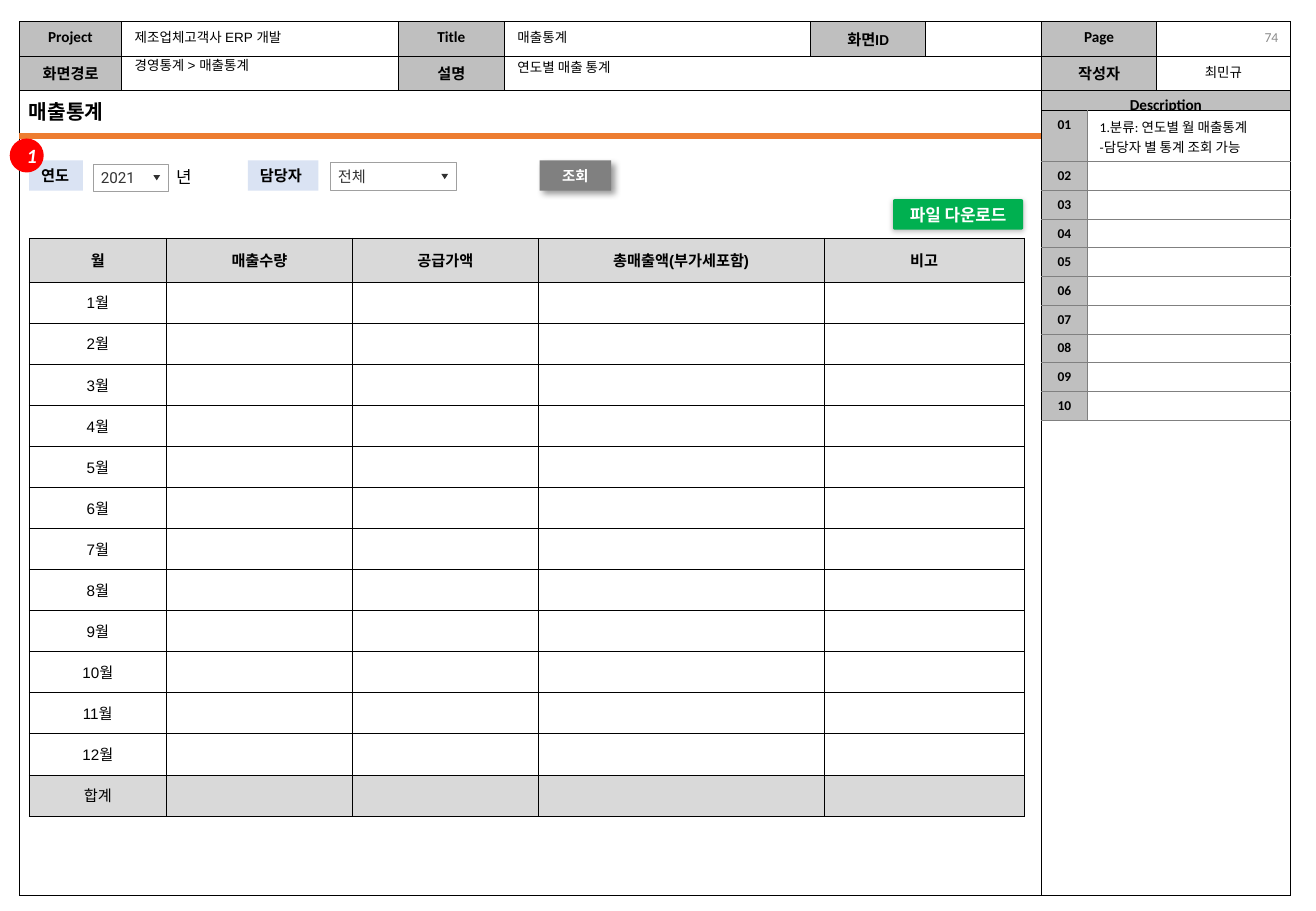
import pptx
import pptx.util
from lxml import etree
from pptx.dml.color import RGBColor
from pptx.enum.shapes import MSO_CONNECTOR, MSO_SHAPE
from pptx.enum.text import MSO_ANCHOR, MSO_AUTO_SIZE, PP_ALIGN
from pptx.oxml.ns import qn

BLACK = RGBColor(0x00, 0x00, 0x00)
WHITE = RGBColor(0xFF, 0xFF, 0xFF)
HEAD_GRAY = RGBColor(0xBF, 0xBF, 0xBF)
ROW_GRAY = RGBColor(0xD9, 0xD9, 0xD9)
MID_GRAY = RGBColor(0x80, 0x80, 0x80)
PAGE_GRAY = RGBColor(0x8C, 0x8C, 0x8C)
EDGE_GRAY = RGBColor(0xA0, 0xA0, 0xA0)
INPUT_TEXT = RGBColor(0x33, 0x33, 0x33)
ARROW = RGBColor(0x30, 0x30, 0x30)
LABEL_BLUE = RGBColor(0xDA, 0xE3, 0xF3)
ORANGE = RGBColor(0xED, 0x7D, 0x31)
RED = RGBColor(0xFF, 0x00, 0x00)
GREEN = RGBColor(0x00, 0xB0, 0x50)
LEFT, CENTER, RIGHT = PP_ALIGN.LEFT, PP_ALIGN.CENTER, PP_ALIGN.RIGHT
TOP, MIDDLE = MSO_ANCHOR.TOP, MSO_ANCHOR.MIDDLE

# Grid of 1083 columns by 750 rows, G to a side
G = pptx.util.Inches(0.01)
prs = pptx.Presentation()
prs.slide_width, prs.slide_height = 1083 * G, 750 * G
s = prs.slides.add_slide(prs.slide_layouts[6])


def add_grid(x, y, cols, rows, texts, size, font, anchor, width, style):
    """style(row, col) gives fill, bold, alignment and edges (left, right, top, bottom)."""
    frame = s.shapes.add_table(len(rows), len(cols), int(x * G), int(y * G),
                               int(sum(cols) * G), int(sum(rows) * G))
    tbl = frame.table
    tbl.first_row = tbl.horz_banding = False
    for i, w in enumerate(cols):
        tbl.columns[i].width = int(w * G)
    for r, h in enumerate(rows):
        tbl.rows[r].height = int(h * G)
        for c in range(len(cols)):
            cell = tbl.cell(r, c)
            fill, bold, align, edges = style(r, c)
            cell.text = texts.get((r, c), "")
            cell.vertical_anchor = anchor
            if fill is None:
                cell.fill.background()
            else:
                cell.fill.solid()
                cell.fill.fore_color.rgb = fill
            for p in cell.text_frame.paragraphs:
                p.alignment = align
                p.font.size, p.font.name = pptx.util.Pt(size), font
                p.font.bold, p.font.color.rgb = bold, BLACK
                if not p.runs:
                    etree.SubElement(p._p, qn("a:endParaRPr"), sz=str(size * 100))
            for i, (side, rgb) in enumerate(zip("LRTB", edges)):
                ln = etree.Element(qn("a:ln" + side), w=str(pptx.util.Pt(width)))
                etree.SubElement(etree.SubElement(ln, qn("a:solidFill")),
                                 qn("a:srgbClr"), val=str(rgb))
                cell._tc.get_or_add_tcPr().insert(i, ln)
    return tbl


def add_box(shapes, kind, at, text, size, font="Arial", color=BLACK, bold=False, fill=None,
            line=None, align=LEFT, anchor=TOP, ins=(10, 5, 10, 5), wrap=False, shadow=None):
    x, y, w, h = (int(v * G) for v in at)
    if kind is None:
        sp = shapes.add_textbox(x, y, w, h)
    else:
        sp = shapes.add_shape(kind, x, y, w, h)
        sp.shadow.inherit = False
        if fill is None:
            sp.fill.background()
        else:
            sp.fill.solid()
            sp.fill.fore_color.rgb = fill
        if line is None:
            sp.line.fill.background()
        else:
            sp.line.color.rgb, sp.line.width = line[0], pptx.util.Pt(line[1])
    if shadow:
        alpha, blur, dist, angle = shadow
        effect = etree.SubElement(sp._element.spPr.find(qn("a:effectLst")), qn("a:outerShdw"),
                                  blurRad=str(pptx.util.Pt(blur)), dist=str(pptx.util.Pt(dist)),
                                  dir=str(angle * 60000), algn="ctr", rotWithShape="0")
        rgb = etree.SubElement(effect, qn("a:srgbClr"), val=str(BLACK))
        etree.SubElement(rgb, qn("a:alpha"), val=str(alpha * 1000))
    tf = sp.text_frame
    tf.margin_left, tf.margin_top, tf.margin_right, tf.margin_bottom = (int(v * G) for v in ins)
    tf.word_wrap, tf.vertical_anchor = wrap, anchor
    if not wrap and align == LEFT:
        tf.auto_size = MSO_AUTO_SIZE.SHAPE_TO_FIT_TEXT
    p = tf.paragraphs[0]
    p.text, p.alignment = text, align
    p.font.size, p.font.name = pptx.util.Pt(size), font
    p.font.bold, p.font.color.rgb = bold, color
    return sp


# Page frame
frame_texts = {(0, 0): "Project", (0, 2): "Title", (0, 4): "화면ID", (0, 6): "Page",
               (1, 0): "화면경로", (1, 2): "설명", (1, 6): "작성자", (1, 7): "최민규",
               (2, 6): "Description"}
frame = add_grid(16, 18, [84, 228, 87, 252, 95, 95, 95, 110], [28, 28, 28, 635],
                 frame_texts, 9, "Calibri", TOP, 0.5,
                 lambda r, c: (HEAD_GRAY if (r, c) in frame_texts and c != 7 else None,
                               c != 7, CENTER, [BLACK] * 4))
for first, last in (((1, 3), (1, 5)), ((2, 0), (3, 5)), ((2, 6), (2, 7)), ((3, 6), (3, 7))):
    frame.cell(*first).merge(frame.cell(*last))
frame.cell(1, 7).text_frame.paragraphs[0].font.size = pptx.util.Pt(8)
add_box(s.shapes, None, (818, 20, 244, 21), "74", 8.1, "Calibri", PAGE_GRAY,
        align=RIGHT, anchor=MIDDLE, wrap=True)

# Description list
notes = {(r, 0): f"{r + 1:02}" for r in range(10)}
notes[0, 1] = "1.분류: 연도별 월 매출통계\n-담당자 별 통계 조회 가능"
add_grid(857, 91, [38, 167], [42] + [213 / 9] * 9, notes, 8, "Calibri", TOP, 0.5,
         lambda r, c: (WHITE if c else HEAD_GRAY, c == 0, LEFT if c else CENTER,
                       [MID_GRAY if c else BLACK, BLACK if c else MID_GRAY,
                        MID_GRAY if r else BLACK, MID_GRAY]))

# Header values and screen title
for x, y, w, text in ((101, 42, 126, "경영통계 > 매출통계"), (416, 19, 65, "매출통계"),
                      (101, 19, 151, "제조업체고객사 ERP 개발"), (416, 44, 107, "연도별 매출 통계")):
    add_box(s.shapes, None, (x, y, w, 24), text, 8)
add_box(s.shapes, None, (14, 77, 88, 30), "매출통계", 12, bold=True)
rule = s.shapes.add_connector(MSO_CONNECTOR.STRAIGHT, 16 * G, 112 * G, 857 * G, 112 * G)
rule.line.color.rgb, rule.line.width = ORANGE, pptx.util.Pt(3)
etree.SubElement(rule._element.spPr, qn("a:effectLst"))

# Monthly sales table
sales = {(0, c): t for c, t in enumerate(["월", "매출수량", "공급가액", "총매출액(부가세포함)", "비고"])}
sales.update({(m, 0): f"{m}월" for m in range(1, 13)})
sales[13, 0] = "합계"
add_grid(24, 196, [113, 153, 153, 235, 165], [36] + [440 / 13] * 13, sales, 9, "Arial", MIDDLE, 0.25,
         lambda r, c: (ROW_GRAY if r in (0, 13) else None, r == 0, CENTER, [BLACK] * 4))

# Search filters
for x, w, text in ((24, 45, "연도"), (204, 58, "담당자")):
    add_box(s.shapes, MSO_SHAPE.RECTANGLE, (x, 132, w, 25), text, 9, bold=True, fill=LABEL_BLUE)
add_box(s.shapes, MSO_SHAPE.RECTANGLE, (69, 132, 104, 27), "년", 10, "Calibri",
        line=(WHITE, 0.75), anchor=MIDDLE, ins=(76, 5, 0, 5), wrap=True)
for x, y, w, text in ((77, 135, 62, "2021"), (272, 134, 104, "전체")):
    group = s.shapes.add_group_shape()
    add_box(group.shapes, MSO_SHAPE.RECTANGLE, (x, y, w, 23), text, 9, "Roboto", INPUT_TEXT,
            fill=WHITE, line=(EDGE_GRAY, 0.5), anchor=MIDDLE, ins=(6, 0, 14, 0), wrap=True)
    tip = x + w - 10
    fb = group.shapes.build_freeform(tip * G, (y + 13.5) * G)
    fb.add_line_segments([((tip - 2.75) * G, (y + 9.25) * G), ((tip + 2.75) * G, (y + 9.25) * G)])
    sp = fb.convert_to_shape()
    sp.shadow.inherit = False
    sp.fill.solid()
    sp.fill.fore_color.rgb = ARROW
    sp.line.fill.background()

# Buttons
add_box(s.shapes, MSO_SHAPE.RECTANGLE, (444, 132, 59, 25), "조회", 8.5, "Roboto", WHITE, True,
        fill=MID_GRAY, align=CENTER, anchor=MIDDLE, shadow=(40, 4, 3, 45))
download = add_box(s.shapes, MSO_SHAPE.ROUNDED_RECTANGLE, (735, 164, 107, 25), "파일 다운로드", 10,
                   "Roboto", WHITE, True, fill=GREEN, align=CENTER, anchor=MIDDLE,
                   ins=(8, 5, 8, 5), shadow=(25, 3, 1, 90))
download.adjustments[0] = 0.05

# Callout number
marker = add_box(s.shapes, MSO_SHAPE.OVAL, (8, 114, 28, 28), "1", 12, "Calibri", WHITE, True,
                 fill=RED, align=CENTER, anchor=MIDDLE, wrap=True)
marker.text_frame.paragraphs[0].font.italic = True

prs.save("out.pptx")
